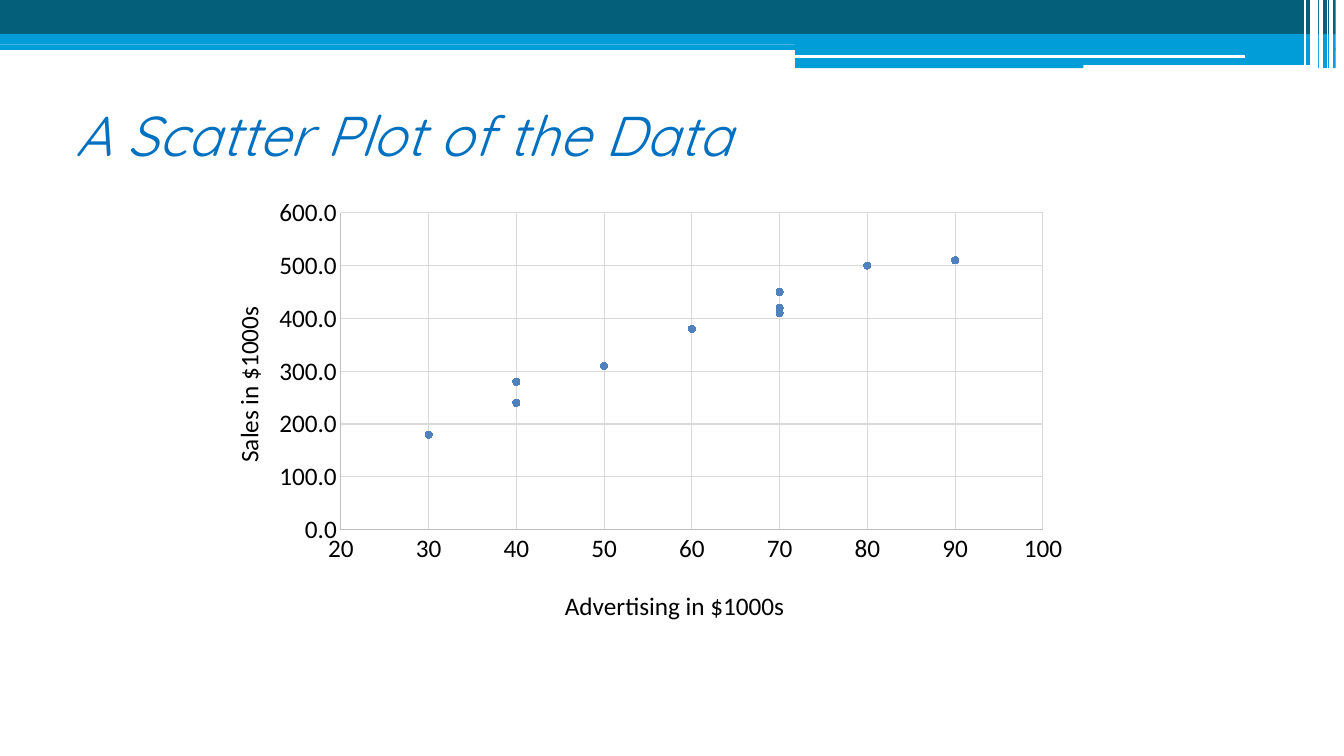
from lxml import etree
from pptx import Presentation
from pptx.chart.data import XyChartData
from pptx.dml.color import RGBColor
from pptx.enum.chart import XL_CHART_TYPE, XL_MARKER_STYLE, XL_TICK_MARK
from pptx.enum.shapes import MSO_CONNECTOR, MSO_SHAPE
from pptx.enum.text import MSO_ANCHOR
from pptx.oxml.ns import qn
from pptx.util import Cm, Pt

SCATTER = XL_CHART_TYPE.XY_SCATTER
CIRCLE = XL_MARKER_STYLE.CIRCLE
NO_TICK = XL_TICK_MARK.NONE
STRAIGHT = MSO_CONNECTOR.STRAIGHT
RECTANGLE = MSO_SHAPE.RECTANGLE
MIDDLE = MSO_ANCHOR.MIDDLE

COLORS = {
    "teal": "04607A", "sky": "009DD9", "white": "FFFFFF", "title": "0070C0",
    "text": "000000", "axis": "BFBFBF", "grid": "D9D9D9", "marker": "4F81BD",
}


class SlideBuilder:
    title_font = "Quicksand"
    chart_font = "Calibri"
    chart_size = Pt(18)

    def __init__(self, slide):
        self.s = slide

    def color(self, name):
        return RGBColor.from_string(COLORS[name])

    def style_font(self, font, name, size, color):
        font.name, font.size = name, size
        font.color.rgb = self.color(color)

    def style_line(self, line, color, width):
        line.color.rgb = self.color(color)
        line.width = Pt(width)

    def bar(self, color, left, top, width, height):
        sp = self.s.shapes.add_shape(
            RECTANGLE, Cm(left), Cm(top), Cm(width), Cm(height))
        sp.shadow.inherit = False
        sp.fill.solid()
        sp.fill.fore_color.rgb = self.color(color)
        sp.line.fill.background()

    def line(self, x1, y1, x2, y2, width):
        cxn = self.s.shapes.add_connector(
            STRAIGHT, Cm(x1), Cm(y1), Cm(x2), Cm(y2))
        self.style_line(cxn.line, "white", width)
        etree.SubElement(cxn._element.spPr, qn("a:effectLst"))

    def title(self, text, left, top, width, height):
        tf = self.s.shapes.add_textbox(
            Cm(left), Cm(top), Cm(width), Cm(height)).text_frame
        tf.word_wrap = True
        tf.vertical_anchor = MIDDLE
        tf.margin_left = tf.margin_right = tf.margin_top = tf.margin_bottom = 0
        r = tf.paragraphs[0].add_run()
        r.text = text
        r.font.italic = True
        self.style_font(r.font, self.title_font, Pt(40), "title")

    def place(self, parent, x, y, w=None, h=None):
        """Set a manual layout, in fractions of the chart."""
        for old in parent.findall(qn("c:layout")):
            parent.remove(old)
        layout = etree.Element(qn("c:layout"))
        manual = etree.SubElement(layout, qn("c:manualLayout"))
        values = {"xMode": "edge", "yMode": "edge", "x": x, "y": y}
        if w:
            values = {"layoutTarget": "inner", **values, "w": w, "h": h}
        for tag, value in values.items():
            etree.SubElement(manual, qn(f"c:{tag}")).set("val", str(value))
        text = parent.find(qn("c:tx"))
        parent.insert(0 if text is None else 1, layout)

    def axis(self, axis, title, title_at, low, high, step, number_format):
        axis.minimum_scale, axis.maximum_scale = low, high
        axis.major_unit = step
        axis.major_tick_mark = axis.minor_tick_mark = NO_TICK
        axis.has_major_gridlines = True
        self.style_line(axis.major_gridlines.format.line, "grid", 0.75)
        self.style_line(axis.format.line, "axis", 0.75)
        labels = axis.tick_labels
        labels.number_format = number_format
        labels.number_format_is_linked = False
        self.style_font(labels.font, self.chart_font, self.chart_size, "text")
        p = axis.axis_title.text_frame.paragraphs[0]
        r = p.add_run()
        r.text = title
        r.font.bold = False
        self.style_font(r.font, self.chart_font, self.chart_size, "text")
        self.place(axis.axis_title._element, *title_at)

    def scatter(self, points, left, top, width, height):
        data = XyChartData()
        series = data.add_series("Series 1")
        for x, y in points:
            series.add_data_point(x, y)
        chart = self.s.shapes.add_chart(
            SCATTER, Cm(left), Cm(top), Cm(width), Cm(height), data).chart
        chart.has_legend = chart.has_title = False
        self.style_font(chart.font, self.chart_font, self.chart_size, "text")
        plot = chart.plots[0]
        plot.vary_by_categories = False
        ser = plot.series[0]
        ser.smooth = False
        ser.format.line.fill.background()
        ser.marker.style, ser.marker.size = CIRCLE, 5
        ser.marker.format.fill.solid()
        ser.marker.format.fill.fore_color.rgb = self.color("marker")
        self.style_line(ser.marker.format.line, "marker", 0.75)
        self.place(chart._chartSpace.chart.plotArea, 0.16, 0.05, 0.8, 0.71)
        self.axis(chart.category_axis, "Advertising in $1000s", (0.41, 0.88),
                  20, 100, 10, "General")
        self.axis(chart.value_axis, "Sales in $1000s", (0.03, 0.25),
                  0, 600, 100, "0.0")


# Banner: color, left, top, width, height
BARS = [
    ("sky", 0, 1.12, 20.04, 0.14),
    ("teal", 0, 0, 33.02, 0.86),
    ("teal", 33.22, 0, 0.44, 0.86),
    ("sky", 0, 0.86, 33.02, 0.26),
    ("sky", 33.22, 0.86, 0.44, 0.4),
    ("sky", 20.04, 0.99, 12.98, 0.26),
    ("sky", 20.04, 1.22, 13.62, 0.5),
    ("white", 27.3, 1.64, 5.92, 0.1),
    ("white", 33.02, 0, 0.2, 1.64),
]

# Upright white stripes: x, bottom, line width
STRIPES = [(33.55, 1.73, 2.98), (33.45, 1.73, 1.06),
           (33.3, 1.73, 2.98), (32.89, 1.64, 1.06)]

# Advertising and sales, both in $1000s
POINTS = [(30, 180), (40, 280), (40, 240), (50, 310), (60, 380),
          (70, 450), (70, 420), (70, 410), (80, 500), (90, 510)]


def main():
    prs = Presentation()
    prs.slide_width, prs.slide_height = Cm(33.87), Cm(19.05)
    slide = SlideBuilder(prs.slides.add_slide(prs.slide_layouts[6]))

    # Banner
    for bar in BARS:
        slide.bar(*bar)
    slide.line(20.02, 1.42, 31.37, 1.42, 2.25)
    for x, bottom, width in STRIPES:
        slide.line(x, 0, x, bottom, width)

    # Title and chart
    slide.title("A Scatter Plot of the Data", 1.9, 2.54, 30.05, 1.7)
    slide.scatter(POINTS, 5.05, 4.8, 22.12, 11.25)

    prs.save("out.pptx")


if __name__ == "__main__":
    main()
